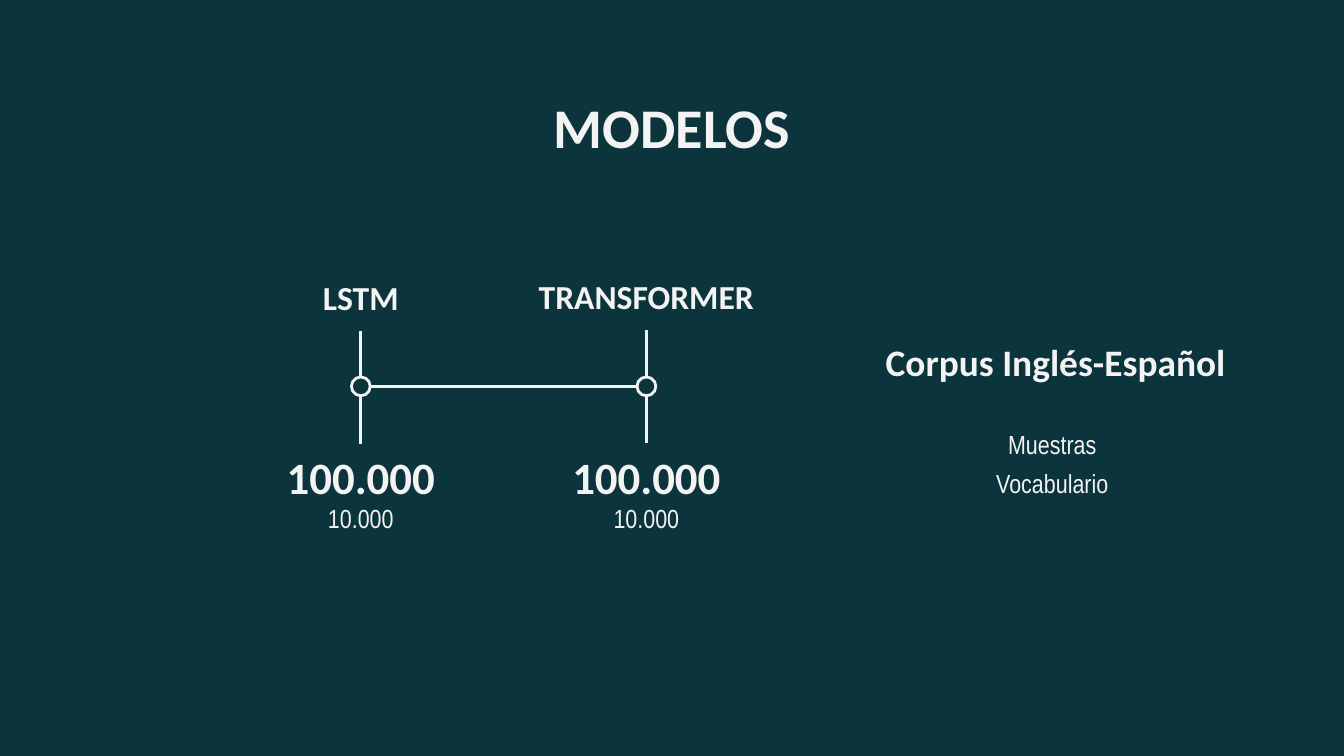
import pptx
import pptx.dml.color
import pptx.enum.shapes
import pptx.enum.text
import pptx.oxml.ns
import pptx.util
from dataclasses import dataclass
from lxml import etree

EMU_PER_PX = 4572  # 200 px to the inch
ANCHOR = pptx.enum.text.MSO_ANCHOR


@dataclass(frozen=True)
class Theme:
    background: str = "0C343D"
    ink: str = "F3F3F3"
    heading_font: str = "Calibri"
    body_font: str = "Arial Narrow"
    title_size: int = 30
    figure_size: int = 24
    corpus_size: int = 20
    model_size: int = 18
    body_size: int = 14
    line_width: float = 1.5


THEME = Theme()


def px(length):
    return pptx.util.Emu(length * EMU_PER_PX)


def color(value):
    return pptx.dml.color.RGBColor.from_string(value)


def style_line(line):
    line.color.rgb = color(THEME.ink)
    line.width = pptx.util.Pt(THEME.line_width)


def add_text(page, bounds, text, size, heading=True, anchor=ANCHOR.TOP):
    box = page.shapes.add_textbox(*map(px, bounds))
    frame = box.text_frame
    frame.word_wrap = True
    frame.vertical_anchor = anchor
    frame.margin_left = frame.margin_right = px(20)
    frame.margin_top = frame.margin_bottom = px(20)
    paragraph = frame.paragraphs[0]
    paragraph.text = text
    paragraph.alignment = pptx.enum.text.PP_ALIGN.CENTER
    paragraph.font.name = THEME.heading_font if heading else THEME.body_font
    paragraph.font.size = pptx.util.Pt(size)
    paragraph.font.bold = heading
    paragraph.font.color.rgb = color(THEME.ink)


def add_line(page, start, end):
    connector = page.shapes.add_connector(
        pptx.enum.shapes.MSO_CONNECTOR.STRAIGHT, *map(px, start + end))
    style_line(connector.line)
    etree.SubElement(connector.element.spPr, pptx.oxml.ns.qn("a:effectLst"))


def add_node(page, center_x, center_y, radius):
    node = page.shapes.add_shape(
        pptx.enum.shapes.MSO_SHAPE.OVAL, px(center_x - radius),
        px(center_y - radius), px(2 * radius), px(2 * radius))
    node.shadow.inherit = False
    node.fill.background()
    style_line(node.line)


def add_model(page, center_x, top, axis_y, radius, name, samples, vocabulary):
    left, width = center_x - 206, 412
    stem_top, stem_bottom = top + 100, top + 268

    # Node with a stem above and below
    add_node(page, center_x, axis_y, radius)
    add_line(page, (center_x, axis_y - radius), (center_x, stem_top))
    add_line(page, (center_x, axis_y + radius), (center_x, stem_bottom))

    # Name above, figures below
    add_text(page, (left, top, width, 100), name, THEME.model_size,
             anchor=ANCHOR.BOTTOM)
    add_text(page, (left, stem_bottom, width, 100), samples,
             THEME.figure_size, anchor=ANCHOR.MIDDLE)
    add_text(page, (left, top + 336, width, 120), vocabulary,
             THEME.body_size, heading=False)


def main():
    deck = pptx.Presentation()
    deck.slide_width, deck.slide_height = px(2000), px(1125)
    page = deck.slides.add_slide(deck.slide_layouts[6])
    page.background.fill.solid()
    page.background.fill.fore_color.rgb = color(THEME.background)

    add_text(page, (157, 118, 1686, 126), "MODELOS", THEME.title_size)

    # Models along the axis
    axis_y, radius = 575, 14
    first_x, last_x = 537, 962
    add_line(page, (first_x + radius, axis_y), (last_x - radius, axis_y))
    models = (
        (first_x, 392, "LSTM", "100.000", "10.000"),
        (last_x, 391, "TRANSFORMER", "100.000", "10.000"),
    )
    for center_x, top, *texts in models:
        add_model(page, center_x, top, axis_y, radius, *texts)

    # Key to the figures
    add_text(page, (1222, 485, 698, 108), "Corpus Inglés-Español",
             THEME.corpus_size)
    for top, height, label in ((618, 82, "Muestras"),
                               (676, 86, "Vocabulario")):
        add_text(page, (1360, top, 412, height), label, THEME.body_size,
                 heading=False)

    deck.save("out.pptx")


if __name__ == "__main__":
    main()
